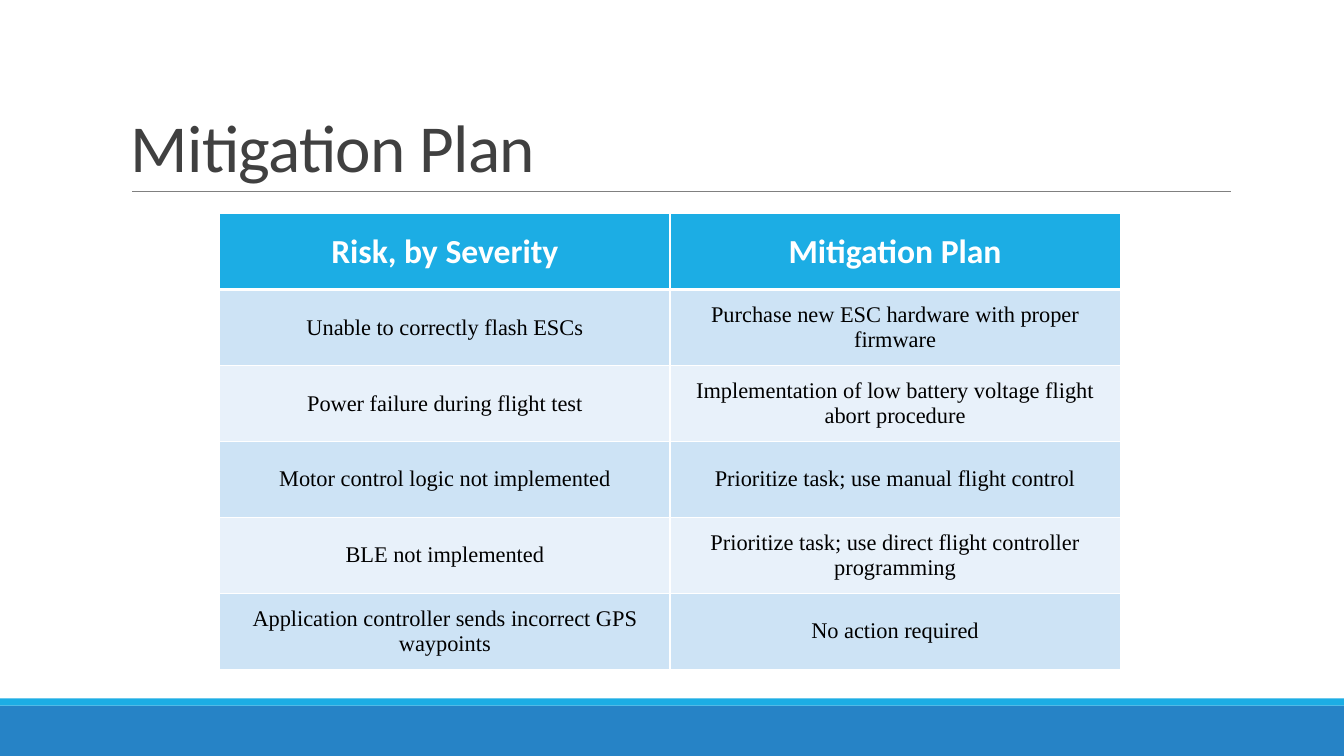
from dataclasses import dataclass

from lxml import etree
from pptx import Presentation
from pptx import util as u
from pptx.dml.color import RGBColor
from pptx.enum import shapes, text
from pptx.oxml.ns import qn


@dataclass(frozen=True)
class Theme:
    white: str = "FFFFFF"
    cyan: str = "1CADE4"
    blue: str = "2683C6"
    rule: str = "808080"
    title: str = "404040"
    body: str = "000000"
    dark_band: str = "CDE3F5"
    light_band: str = "E8F1FA"
    heading_font: str = "Calibri"
    body_font: str = "Times New Roman"
    title_size: float = 48
    header_size: float = 24
    body_size: float = 16


@dataclass(frozen=True)
class Bar:
    top: float
    height: float
    color: str


@dataclass(frozen=True)
class Risk:
    name: str
    plan: str


THEME = Theme()
WIDTH, HEIGHT = 13.33, 7.5
TABLE_LEFT, TABLE_TOP, TABLE_WIDTH, TABLE_HEIGHT = 2.18, 2.12, 8.93, 4.52
BARS = [Bar(7, 0.5, THEME.blue), Bar(6.93, 0.07, THEME.cyan)]
HEADER = Risk("Risk, by Severity", "Mitigation Plan")
RISKS = [
    Risk("Unable to correctly flash ESCs",
         "Purchase new ESC hardware with proper firmware"),
    Risk("Power failure during flight test",
         "Implementation of low battery voltage flight abort procedure"),
    Risk("Motor control logic not implemented",
         "Prioritize task; use manual flight control"),
    Risk("BLE not implemented",
         "Prioritize task; use direct flight controller programming"),
    Risk("Application controller sends incorrect GPS waypoints",
         "No action required"),
]


def write(frame, words: str, *, size: float, font: str, color: str,
          bold: bool = False, align=text.PP_ALIGN.LEFT,
          line_spacing: float = 1.0, tracking: int = 0) -> None:
    """Fill a text frame with one line of text; tracking is in 1/100 point."""
    para = frame.paragraphs[0]
    para.alignment = align
    para.line_spacing = line_spacing
    span = para.add_run()
    span.text = words
    span.font.size = u.Pt(size)
    span.font.name = font
    span.font.bold = bold
    span.font.color.rgb = RGBColor.from_string(color)
    if tracking:
        span.font._element.set("spc", str(tracking))


def add_bar(page, bar: Bar) -> None:
    shape = page.shapes.add_shape(
        shapes.MSO_SHAPE.RECTANGLE, 0, u.Inches(bar.top),
        u.Inches(WIDTH), u.Inches(bar.height))
    shape.shadow.inherit = False
    shape.fill.solid()
    shape.fill.fore_color.rgb = RGBColor.from_string(bar.color)
    shape.line.fill.background()


def add_title(page) -> None:
    rule = page.shapes.add_connector(
        shapes.MSO_CONNECTOR.STRAIGHT, u.Inches(1.31), u.Inches(1.9),
        u.Inches(12.21), u.Inches(1.9))
    rule.line.color.rgb = RGBColor.from_string(THEME.rule)
    rule.line.width = u.Pt(0.5)
    etree.SubElement(rule._element.spPr, qn("a:effectLst"))

    box = page.shapes.add_textbox(
        u.Inches(1.2), u.Inches(0.31), u.Inches(11), u.Inches(1.59))
    box.text_frame.word_wrap = True
    box.text_frame.vertical_anchor = text.MSO_ANCHOR.BOTTOM
    write(box.text_frame, "Mitigation Plan", size=THEME.title_size,
          font=THEME.heading_font, color=THEME.title,
          line_spacing=0.85, tracking=-50)


def add_borders(cell, top: float, bottom: float) -> None:
    """Draw white cell edges; must run before the cell is filled."""
    properties = cell._tc.get_or_add_tcPr()
    for side, width in (("L", 1), ("R", 1), ("T", top), ("B", bottom)):
        line = etree.SubElement(properties, qn(f"a:ln{side}"), w=str(u.Pt(width)))
        fill = etree.SubElement(line, qn("a:solidFill"))
        etree.SubElement(fill, qn("a:srgbClr"), val=THEME.white)


def add_risk_table(page) -> None:
    rows = [HEADER, *RISKS]
    table = page.shapes.add_table(
        len(rows), 2, u.Inches(TABLE_LEFT), u.Inches(TABLE_TOP),
        u.Inches(TABLE_WIDTH), u.Inches(TABLE_HEIGHT)).table
    for index, risk in enumerate(rows):
        is_header = index == 0
        if is_header:
            band = THEME.cyan
            style = dict(size=THEME.header_size, font=THEME.heading_font,
                         color=THEME.white, bold=True)
        else:
            band = THEME.dark_band if index % 2 else THEME.light_band
            style = dict(size=THEME.body_size, font=THEME.body_font,
                         color=THEME.body)
        for column, words in enumerate((risk.name, risk.plan)):
            cell = table.cell(index, column)
            add_borders(cell, top=3 if index == 1 else 1,
                        bottom=3 if is_header else 1)
            cell.fill.solid()
            cell.fill.fore_color.rgb = RGBColor.from_string(band)
            cell.vertical_anchor = text.MSO_ANCHOR.MIDDLE
            write(cell.text_frame, words, align=text.PP_ALIGN.CENTER, **style)


def main() -> None:
    deck = Presentation()
    deck.slide_width = u.Inches(WIDTH)
    deck.slide_height = u.Inches(HEIGHT)
    page = deck.slides.add_slide(deck.slide_layouts[6])
    for bar in BARS:
        add_bar(page, bar)
    add_title(page)
    add_risk_table(page)
    deck.save("out.pptx")


if __name__ == "__main__":
    main()
